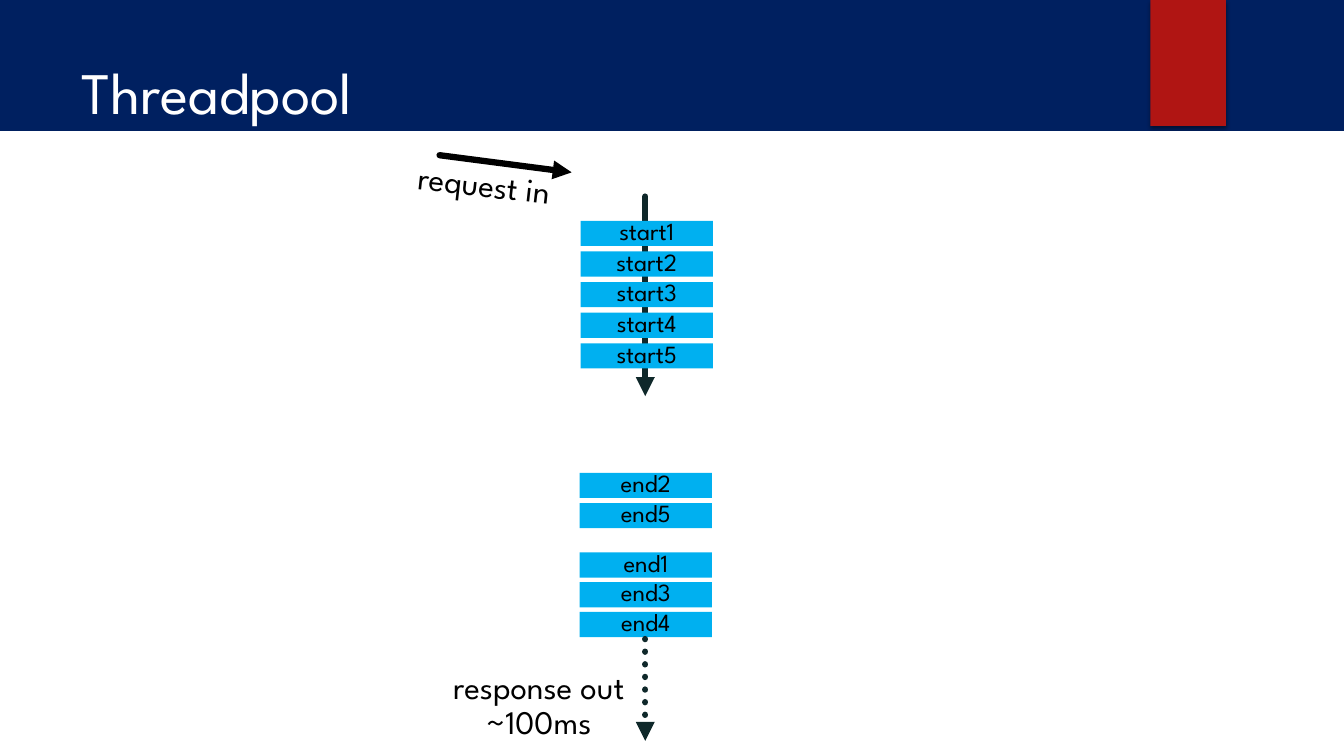
import pptx
import pptx.util
import pptx.dml.color
import pptx.enum.dml
import pptx.enum.shapes
import pptx.enum.text
import pptx.oxml.ns
from dataclasses import dataclass
from lxml import etree

TITLE = "Threadpool"
REQUEST = ["request in"]
RESPONSE = ["response out", "~100ms"]
# first top, row pitch, left, labels
TASK_GROUPS = [
    (219, 30.4, 576, ["start1", "start2", "start3", "start4", "start5"]),
    (469, 30, 575, ["end2", "end5"]),
    (548, 29.5, 575, ["end1", "end3", "end4"]),
]
TASK_SIZE = (131, 25)


@dataclass(frozen=True)
class Theme:
    font: str = "League Spartan"
    navy: str = "002060"
    red: str = "B01513"
    white: str = "FFFFFF"
    black: str = "000000"
    task: str = "00B0F0"
    timeline: str = "0F282A"
    title_size: float = 42
    label_size: float = 23.5
    task_size: float = 17.6
    line_width: float = 4.5


THEME = Theme()
ALIGN = pptx.enum.text.PP_ALIGN
ANCHOR = pptx.enum.text.MSO_ANCHOR


def px(length):
    """Convert px, 100 to the inch, to EMU."""
    return pptx.util.Emu(round(length * 9144))


def rgb(colour):
    return pptx.dml.color.RGBColor.from_string(colour)


def write(paragraph, lines, size, colour):
    for index, line in enumerate(lines):
        if index:
            paragraph.add_line_break()
        run = paragraph.add_run()
        run.text = line
        run.font.name = THEME.font
        run.font.size = pptx.util.Pt(size)
        run.font.color.rgb = rgb(colour)


def write_centred(shape, lines, size, spacing):
    frame = shape.text_frame
    frame.margin_left = frame.margin_right = 0
    frame.margin_top = frame.margin_bottom = 0
    frame.word_wrap = False
    frame.vertical_anchor = ANCHOR.MIDDLE
    paragraph = frame.paragraphs[0]
    paragraph.alignment = ALIGN.CENTER
    paragraph.line_spacing = spacing
    paragraph.space_after = pptx.util.Pt(6)
    write(paragraph, lines, size, THEME.black)


def add_rect(slide, left, top, width, height, colour):
    rect = slide.shapes.add_shape(
        pptx.enum.shapes.MSO_SHAPE.RECTANGLE,
        px(left), px(top), px(width), px(height))
    rect.shadow.inherit = False
    rect.fill.solid()
    rect.fill.fore_color.rgb = rgb(colour)
    rect.line.fill.background()
    return rect


def add_shadow(shape):
    effects = shape._element.spPr.find(pptx.oxml.ns.qn("a:effectLst"))
    shadow = etree.SubElement(
        effects, pptx.oxml.ns.qn("a:outerShdw"), blurRad="38100",
        dist="25400", dir="5400000", rotWithShape="0")
    colour = etree.SubElement(
        shadow, pptx.oxml.ns.qn("a:srgbClr"), val=THEME.black)
    etree.SubElement(colour, pptx.oxml.ns.qn("a:alpha"), val="45000")


def add_arrow(slide, start, end, colour, dash=None):
    arrow = slide.shapes.add_connector(
        pptx.enum.shapes.MSO_CONNECTOR.STRAIGHT,
        *map(px, start), *map(px, end))
    arrow.line.width = pptx.util.Pt(THEME.line_width)
    arrow.line.color.rgb = rgb(colour)
    if dash:
        arrow.line.dash_style = dash
    line = arrow.line._get_or_add_ln()
    line.set("cap", "rnd")
    etree.SubElement(line, pptx.oxml.ns.qn("a:round"))
    etree.SubElement(line, pptx.oxml.ns.qn("a:tailEnd"), type="triangle")
    etree.SubElement(arrow._element.spPr, pptx.oxml.ns.qn("a:effectLst"))


def add_label(slide, left, top, width, height, lines, rotation=0):
    label = slide.shapes.add_textbox(
        px(left), px(top), px(width), px(height))
    label.rotation = rotation
    write_centred(label, lines, THEME.label_size, 0.9)


def add_title(slide):
    title = slide.shapes.title
    title.left, title.top = px(71), px(50)
    title.width, title.height = px(1029), px(153)
    frame = title.text_frame
    frame.word_wrap = True
    frame.vertical_anchor = ANCHOR.TOP
    frame.paragraphs[0].alignment = ALIGN.LEFT
    write(frame.paragraphs[0], [TITLE], THEME.title_size, THEME.white)
    # Bring the title in front of the panels.
    slide.shapes._spTree.append(title._element)


def main():
    deck = pptx.Presentation()
    deck.slide_width, deck.slide_height = px(1333), px(750)
    slide = deck.slides.add_slide(deck.slide_layouts[5])
    slide.background.fill.solid()
    slide.background.fill.fore_color.rgb = rgb(THEME.navy)

    add_shadow(add_rect(slide, 1141, 0, 75, 125, THEME.red))
    add_rect(slide, 0, 130, 1333, 620, THEME.white)
    add_title(slide)

    add_arrow(slide, (640, 195), (640, 393), THEME.timeline)
    for first_top, pitch, left, tasks in TASK_GROUPS:
        for row, task in enumerate(tasks):
            box = add_rect(slide, left, first_top + row * pitch,
                           *TASK_SIZE, THEME.task)
            write_centred(box, [task], THEME.task_size, 0.8)

    add_arrow(slide, (436, 154), (567, 171), THEME.black)
    add_label(slide, 405, 167, 150, 36, REQUEST, rotation=6.3)
    add_label(slide, 436, 668, 197, 66, RESPONSE)
    add_arrow(slide, (640, 634), (640, 735), THEME.timeline,
              pptx.enum.dml.MSO_LINE.ROUND_DOT)
    deck.save("out.pptx")


if __name__ == "__main__":
    main()
